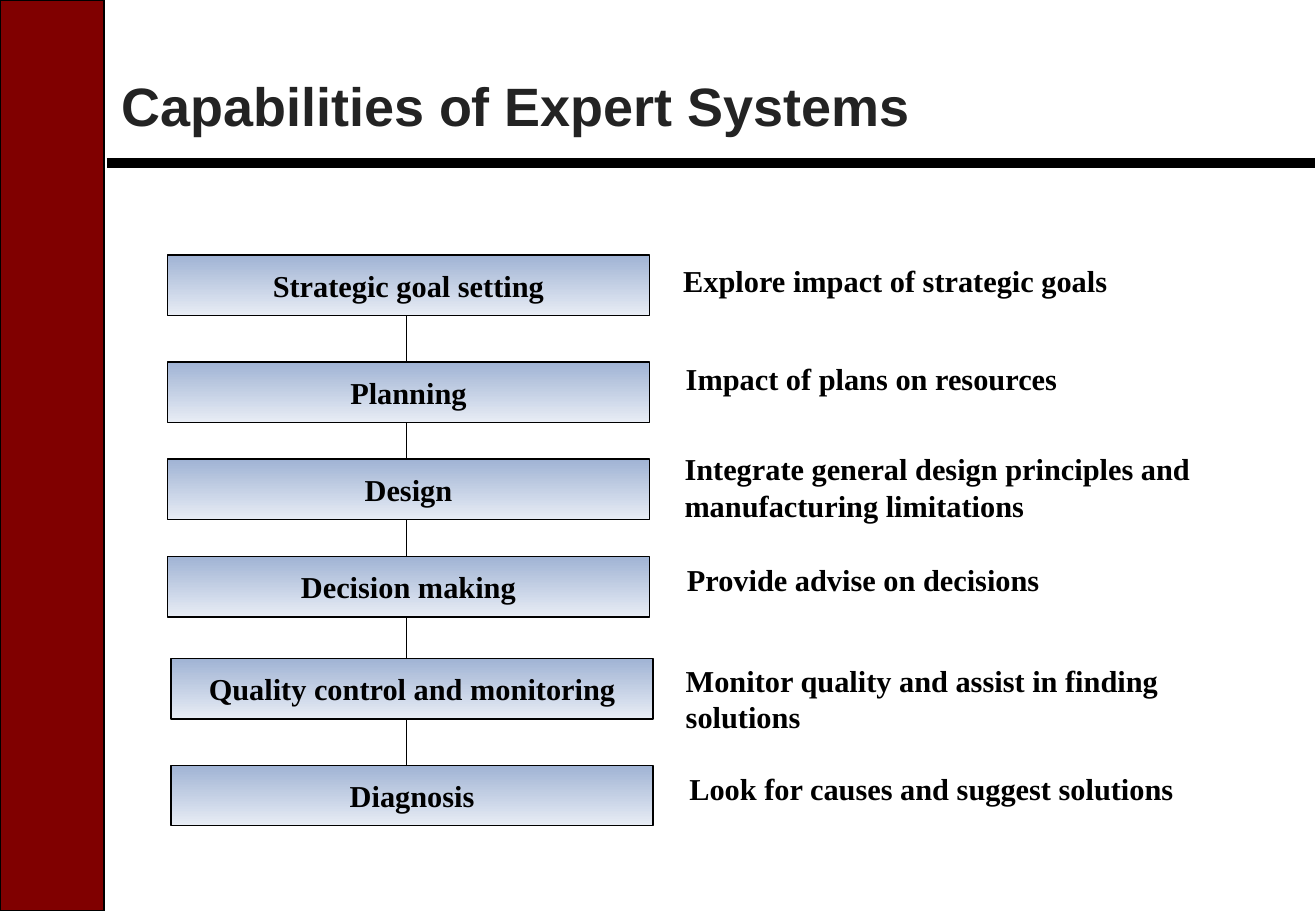
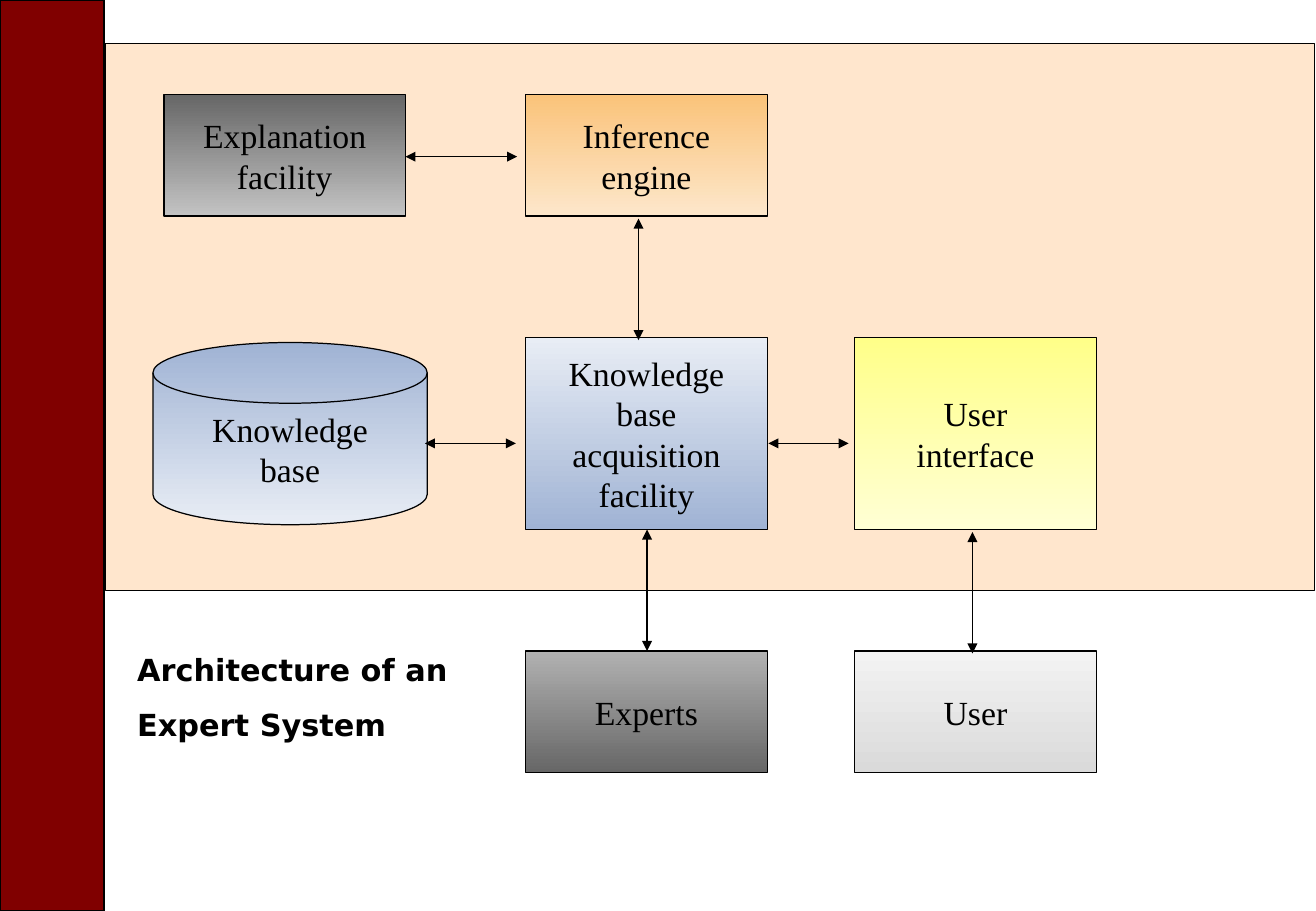
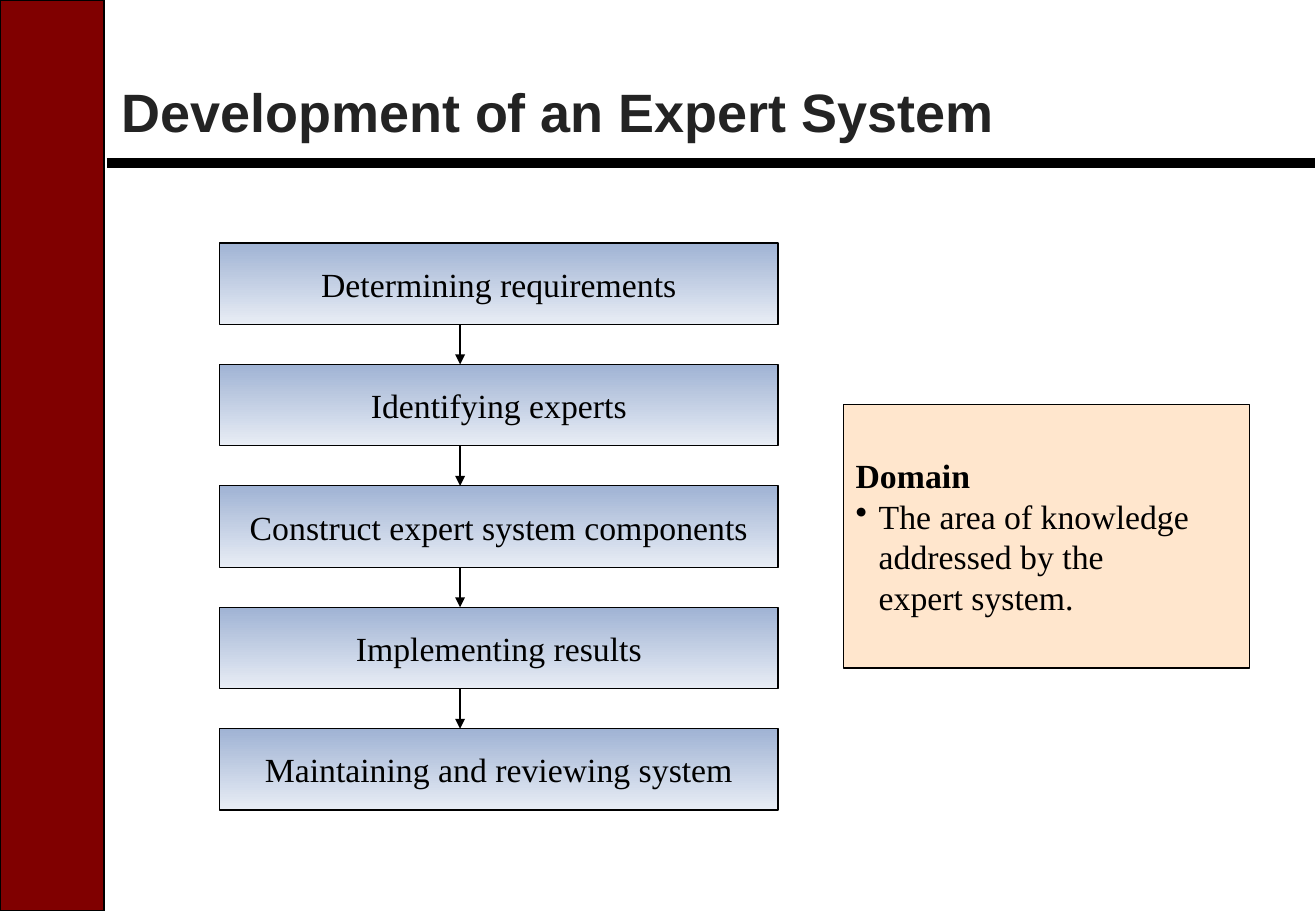
from lxml import etree
from pptx import Presentation
from pptx.dml.color import RGBColor
from pptx.enum import shapes, text
from pptx.oxml.ns import qn
from pptx.util import Inches, Pt

COLORS = {
    "black": "000000", "title": "232323", "band": "800000", "peach": "FFE6CD",
    "blue": "A0B3D4", "pale_blue": "E8EDF5", "orange": "FAC37A",
    "pale_orange": "FDE7CB", "dark_gray": "676767", "gray": "B1B1B1",
    "light_gray": "C3C3C3", "yellow": "FFFF89", "pale_yellow": "FFFFD4",
    "silver": "DADADA", "pale_silver": "F3F3F3",
}
RGB = {name: RGBColor.from_string(value) for name, value in COLORS.items()}
BLUE_FADE = ("blue", "pale_blue")
SERIF = "Times New Roman"
RECTANGLE = shapes.MSO_SHAPE.RECTANGLE


def add_box(slide, at, fills, label="", size=20, bold=False, kind=RECTANGLE):
    """Add an outlined shape; two fills make a top-to-bottom gradient."""
    shape = slide.shapes.add_shape(kind, *map(Inches, at))
    shape.shadow.inherit = False
    shape.line.color.rgb = RGB["black"]
    shape.line.width = Pt(0.75)
    if len(fills) == 2:
        shape.fill.gradient()
        shape.fill.gradient_angle = 270
        for stop, position, name in zip(shape.fill.gradient_stops, (0, 1), fills):
            stop.position = position
            stop.color.rgb = RGB[name]
    else:
        shape.fill.solid()
        shape.fill.fore_color.rgb = RGB[fills[0]]
    if label:
        shape.text_frame.word_wrap = True
        shape.text_frame.vertical_anchor = text.MSO_ANCHOR.MIDDLE
        paragraph = shape.text_frame.paragraphs[0]
        paragraph.text = label
        paragraph.alignment = text.PP_ALIGN.CENTER
        paragraph.font.name, paragraph.font.size = SERIF, Pt(size)
        paragraph.font.bold = bold
        paragraph.font.color.rgb = RGB["black"]
    return shape


def add_line(slide, start, end, ends=(), width=0.75):
    """Add a straight line with triangles at the named ends."""
    line = slide.shapes.add_connector(
        shapes.MSO_CONNECTOR.STRAIGHT, *map(Inches, (*start, *end)))
    line.line.color.rgb = RGB["black"]
    line.line.width = Pt(width)
    properties = line.element.spPr
    outline = properties.find(qn("a:ln"))
    for name in ends:
        etree.SubElement(outline, qn(f"a:{name}"), type="triangle")
    etree.SubElement(properties, qn("a:effectLst"))
    return line


presentation = Presentation()
presentation.slide_width = Inches(10.84)
presentation.slide_height = Inches(7.5)
layout = presentation.slide_layouts[5]

# Slides and their titles: text, position, font, size, colour, anchor
titles = [
    (["Capabilities of Expert Systems"], (0.9, 0.47, 8.58, 0.78),
     "Arial", 32, "title", text.MSO_ANCHOR.MIDDLE),
    (["Architecture of an", "Expert System"], (1.03, 5.31, 2.89, 0.86),
     "DejaVu Sans", 18, "black", text.MSO_ANCHOR.TOP),
    (["Development of an Expert System"], (0.9, 0.57, 8.58, 0.68),
     "Arial", 32, "title", text.MSO_ANCHOR.MIDDLE),
]
for lines, at, font_name, size, color, anchor in titles:
    title = presentation.slides.add_slide(layout).shapes.title
    title.left, title.top, title.width, title.height = map(Inches, at)
    frame = title.text_frame
    frame.text = "\n".join(lines)
    frame.word_wrap = True
    frame.auto_size = text.MSO_AUTO_SIZE.NONE
    frame.vertical_anchor = anchor
    for index, paragraph in enumerate(frame.paragraphs):
        paragraph.alignment = text.PP_ALIGN.LEFT
        paragraph.space_before = Pt(11.2 if index else 0)
        paragraph.font.name, paragraph.font.size = font_name, Pt(size)
        paragraph.font.bold = True
        paragraph.font.color.rgb = RGB[color]
capabilities, architecture, development = presentation.slides

# Band and rule, moved to the master so that every slide shows them
band = add_box(capabilities, (0, 0, 0.86, 7.5), ["band"])
band.line.width = Pt(1)
rule = add_line(capabilities, (0.88, 1.34), (10.83, 1.34), width=6)
master_tree = presentation.slide_master.shapes.element
for index, shape in enumerate((band, rule)):
    shape.element.xpath(".//p:cNvPr")[0].set("id", str(100 + index))
    master_tree.insert(2 + index, shape.element)

# Capabilities: box label, left, top; advice, left, top, width, height
capability_rows = [
    ("Strategic goal setting", 1.38, 2.1,
     "Explore impact of strategic goals", (5.53, 2.11, 4.66, 0.4)),
    ("Planning", 1.38, 2.98,
     "Impact of plans on resources", (5.55, 2.92, 4.71, 0.4)),
    ("Design", 1.38, 3.78,
     "Integrate general design principles and manufacturing limitations",
     (5.54, 3.66, 4.91, 0.7)),
    ("Decision making", 1.38, 4.58,
     "Provide advise on decisions", (5.56, 4.57, 4.56, 0.4)),
    ("Quality control and monitoring", 1.41, 5.42,
     "Monitor quality and assist in finding solutions", (5.55, 5.4, 4.45, 0.7)),
    ("Diagnosis", 1.41, 6.3,
     "Look for causes and suggest solutions", (5.58, 6.29, 4.62, 0.4)),
]
box_height = 0.5
previous_bottom = None
for label, left, top, advice, advice_at in capability_rows:
    add_box(capabilities, (left, top, 3.97, box_height), BLUE_FADE, label, 18, True)
    if previous_bottom:
        add_line(capabilities, (3.35, previous_bottom), (3.35, top))
    previous_bottom = top + box_height
    advice_box = capabilities.shapes.add_textbox(*map(Inches, advice_at))
    advice_box.text_frame.word_wrap = True
    paragraph = advice_box.text_frame.paragraphs[0]
    paragraph.text = advice
    paragraph.font.name, paragraph.font.size = SERIF, Pt(18)
    paragraph.font.bold = True
    paragraph.font.color.rgb = RGB["black"]

# Architecture: system panel and its parts
add_box(architecture, (0.87, 0.36, 9.96, 4.5), ["peach"])
middle, right, part_width = 4.33, 7.04, 1.99
parts = [
    ("Inference\nengine", (middle, 0.78, part_width, 1), ("orange", "pale_orange")),
    ("Explanation\nfacility", (1.35, 0.78, part_width, 1), ("dark_gray", "light_gray")),
    ("Knowledge\nbase\nacquisition\nfacility", (middle, 2.78, part_width, 1.58),
     ("pale_blue", "blue")),
    ("User\ninterface", (right, 2.78, part_width, 1.58), ("yellow", "pale_yellow")),
    ("Experts", (middle, 5.36, part_width, 1), ("gray", "dark_gray")),
    ("User", (right, 5.36, part_width, 1), ("pale_silver", "silver")),
]
for label, at, fills in parts:
    add_box(architecture, at, fills, label)
add_box(architecture, (1.26, 2.82, 2.26, 1.5), BLUE_FADE, "Knowledge\nbase",
        kind=shapes.MSO_SHAPE.FLOWCHART_MAGNETIC_DISK)

# Architecture: two-way arrows
for start, end in [
    ((3.34, 1.29), (4.26, 1.29)),
    ((5.26, 1.8), (5.26, 2.8)),
    ((3.5, 3.65), (4.25, 3.65)),
    ((6.33, 3.65), (6.99, 3.65)),
    ((5.33, 4.36), (5.33, 5.36)),
    ((8.01, 4.38), (8.01, 5.38)),
]:
    add_line(architecture, start, end, ("headEnd", "tailEnd"))

# Development: five steps, one inch apart
steps = ["Determining requirements", "Identifying experts",
         "Construct expert system components", "Implementing results",
         "Maintaining and reviewing system"]
step_height = 0.67
for top, label in enumerate(steps, start=2):
    add_box(development, (1.81, top, 4.6, step_height), BLUE_FADE, label)
    if top > 2:
        add_line(development, (3.79, top - 1 + step_height), (3.79, top), ["tailEnd"])

# Development: definition of the domain
domain = add_box(development, (6.95, 3.33, 3.34, 2.17), ["peach"], "Domain", bold=True)
heading = domain.text_frame.paragraphs[0]
heading.alignment = text.PP_ALIGN.LEFT
definition = domain.text_frame.add_paragraph()
definition.text = "The area of knowledge\naddressed by the\nexpert system."
definition.alignment = text.PP_ALIGN.LEFT
definition.font.name, definition.font.size = SERIF, Pt(20)
definition.font.color.rgb = RGB["black"]
properties = definition._p.get_or_add_pPr()
properties.set("marL", str(Inches(0.19)))
properties.set("indent", str(Inches(-0.19)))
bullet = etree.Element(qn("a:buChar"), char="•")
properties.insert(0, bullet)

presentation.save("out.pptx")
